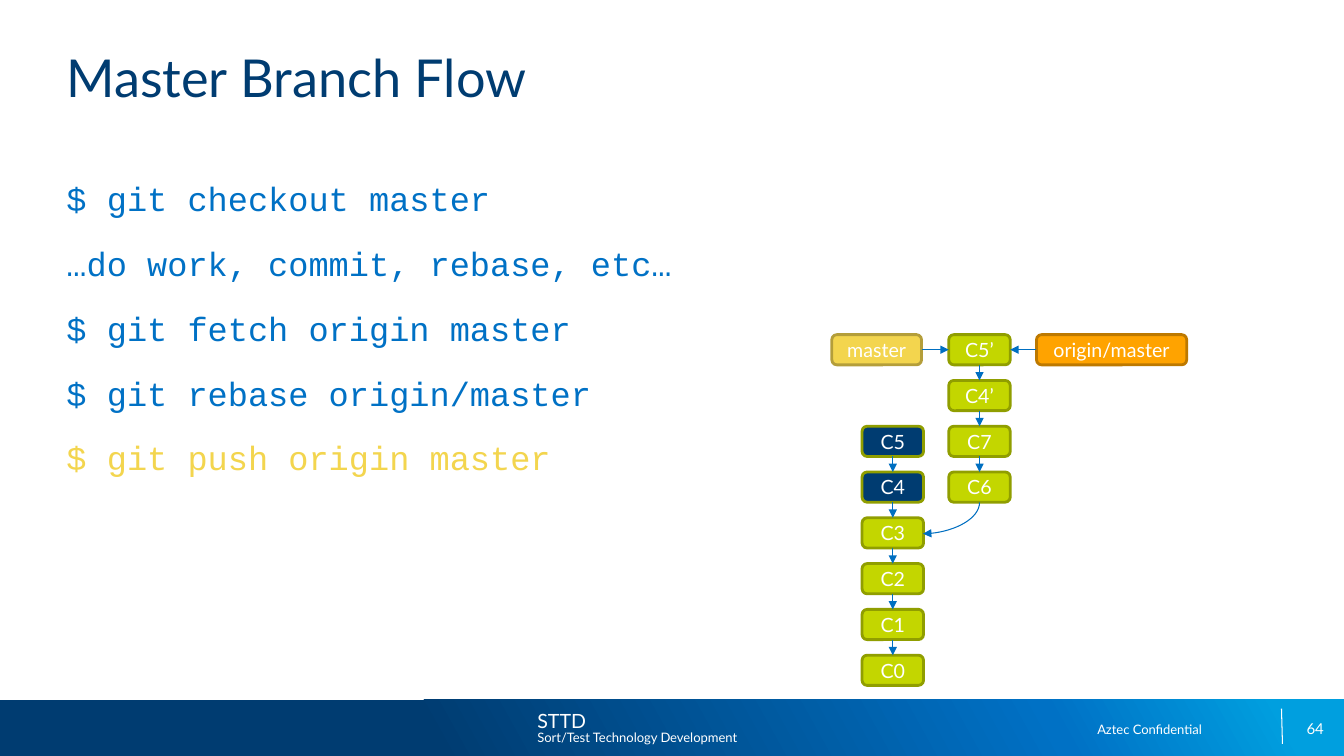
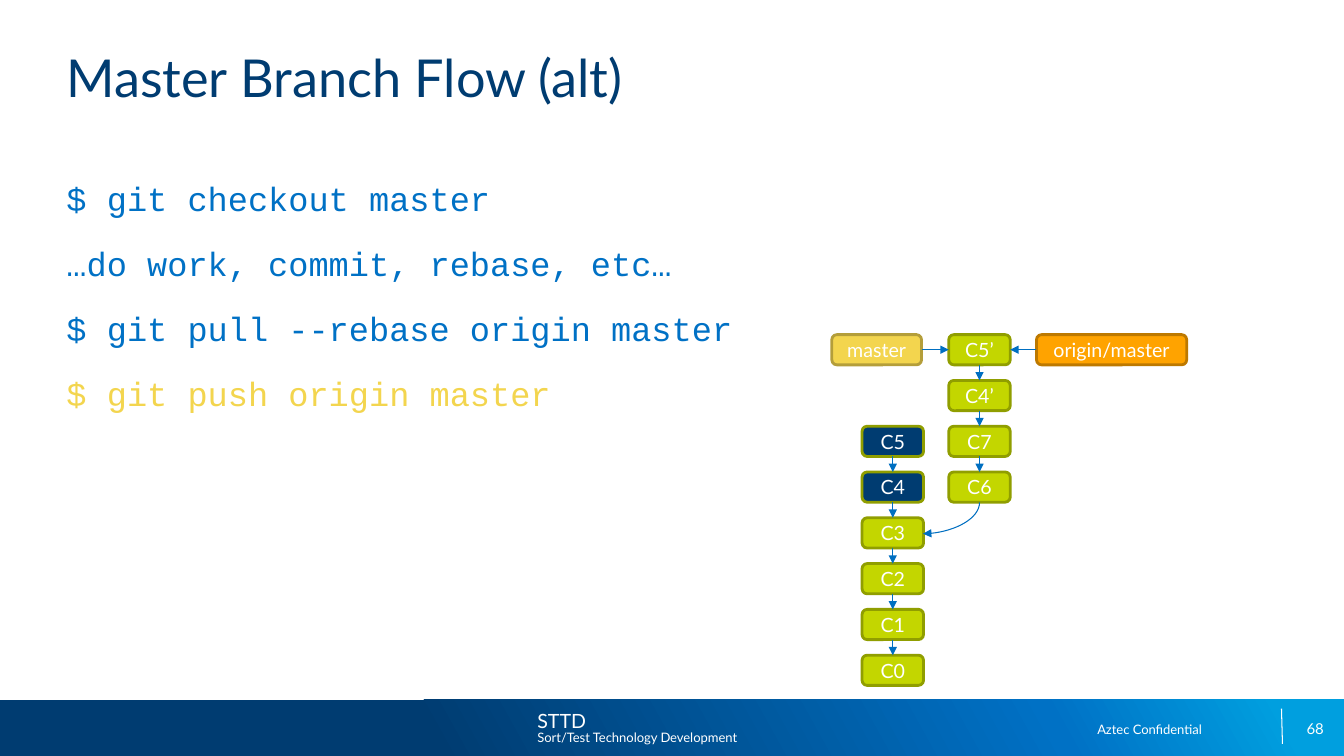
"""Build two slides on the master branch flow, with git commands and a commit graph."""
import pptx
import pptx.dml.color
import pptx.enum.shapes
import pptx.enum.text
import pptx.oxml
import pptx.oxml.ns
import pptx.oxml.xmlchemy
import pptx.util

Inches, Pt = pptx.util.Inches, pptx.util.Pt
RGBColor = pptx.dml.color.RGBColor
ALIGN = pptx.enum.text.PP_ALIGN
ANCHOR = pptx.enum.text.MSO_ANCHOR
SHAPE = pptx.enum.shapes.MSO_SHAPE
CONNECTOR = pptx.enum.shapes.MSO_CONNECTOR
qn = pptx.oxml.ns.qn
OxmlElement = pptx.oxml.xmlchemy.OxmlElement

NAVY = RGBColor(0x00, 0x3C, 0x71)
BLUE = RGBColor(0x00, 0x71, 0xC5)
SKY = RGBColor(0x00, 0x9F, 0xDF)
ARROW = RGBColor(0x00, 0x6F, 0xC1)
WHITE = RGBColor(0xFF, 0xFF, 0xFF)
GREEN = RGBColor(0xC3, 0xD6, 0x00)
DARK_GREEN = RGBColor(0x90, 0x9E, 0x00)
YELLOW = RGBColor(0xF3, 0xD5, 0x4E)
DARK_YELLOW = RGBColor(0xB4, 0x9E, 0x3A)
ORANGE = RGBColor(0xFF, 0xA3, 0x00)
DARK_ORANGE = RGBColor(0xBD, 0x79, 0x00)

TITLE = {"size": Pt(37.3), "name": "Lato", "color": NAVY}
CODE = {"size": Pt(24), "name": "Courier New", "color": BLUE}
NODE = {"size": Pt(14), "name": "Lato", "color": WHITE}
SMALL = {"size": Pt(9.3), "name": "Lato", "color": WHITE}
NUMBER = {"size": Pt(10.7), "name": "Lato", "color": WHITE}

GRADIENT = [(32, NAVY), (78, BLUE), (95, SKY)]
FOOTER = [
    ("STTD", 5.33, 7.03, 0.57, 0.24, NODE, ALIGN.LEFT),
    ("Sort/Test Technology Development", 5.33, 7.24, 2.67, 0.16, SMALL, ALIGN.LEFT),
    ("Aztec Confidential", 10.26, 7.16, 1.66, 0.16, SMALL, ALIGN.RIGHT),
]

TOP, BOTTOM = 3.32, 6.5
PITCH = (BOTTOM - TOP) / 7
LOCAL_X, REMOTE_X, COMMIT_W, NODE_H = 8.55, 9.41, 0.61, 0.3
NODES = [("master", 8.25, 0, 0.89, YELLOW, DARK_YELLOW),
         ("origin/master", 10.28, 0, 1.49, ORANGE, DARK_ORANGE)]
REMOTE = ["C5’", "C4’", "C7", "C6"]
LOCAL = ["C5", "C4", "C3", "C2", "C1", "C0"]
for row, name in enumerate(REMOTE):
    NODES.append((name, REMOTE_X, row, COMMIT_W, GREEN, DARK_GREEN))
for row, name in enumerate(LOCAL, 2):
    fill = NAVY if name in ("C5", "C4") else GREEN
    NODES.append((name, LOCAL_X, row, COMMIT_W, fill, DARK_GREEN))

SITE_TOP, SITE_LEFT, SITE_BOTTOM, SITE_RIGHT = range(4)
LINKS = [("master", SITE_RIGHT, "C5’", SITE_LEFT),
         ("origin/master", SITE_LEFT, "C5’", SITE_RIGHT),
         ("C6", SITE_BOTTOM, "C3", SITE_RIGHT)]
for chain in (REMOTE, LOCAL):
    for child, parent in zip(chain, chain[1:]):
        LINKS.append((child, SITE_BOTTOM, parent, SITE_TOP))

SLIDES = [
    ("Master Branch Flow", "64", [
        "$ git checkout master",
        "…do work, commit, rebase, etc…",
        "$ git fetch origin master",
        "$ git rebase origin/master",
        "$ git push origin master"]),
    ("Master Branch Flow (alt)", "68", [
        "$ git checkout master",
        "…do work, commit, rebase, etc…",
        "$ git pull --rebase origin master",
        "$ git push origin master"]),
]


def add_text(s, lines, x, y, w, h, style, align=ALIGN.LEFT, anchor=ANCHOR.TOP):
    sp = s.shapes.add_textbox(Inches(x), Inches(y), Inches(w), Inches(h))
    tf = sp.text_frame
    frame = {"word_wrap": True, "vertical_anchor": anchor, "margin_left": 0,
             "margin_right": 0, "margin_top": 0, "margin_bottom": 0}
    for key, value in frame.items():
        setattr(tf, key, value)
    for i, line in enumerate(lines):
        p = tf.paragraphs[0] if i == 0 else tf.add_paragraph()
        p.alignment = align
        write(p, line, style)
    return tf


def write(p, text, style):
    r = p.add_run()
    r.text = text
    for key, value in style.items():
        if key == "color":
            r.font.color.rgb = value
        else:
            setattr(r.font, key, value)


prs = pptx.Presentation()
prs.slide_width, prs.slide_height = Inches(13.33), Inches(7.5)

for title, number, commands in SLIDES:
    s = prs.slides.add_slide(prs.slide_layouts[6])

    band = s.shapes.add_shape(SHAPE.RECTANGLE, 0, Inches(6.94), prs.slide_width, Inches(0.56))
    band.shadow.inherit = False
    band.line.fill.background()
    band.fill.gradient()
    band.fill.gradient_angle = 29
    stops = band._element.spPr.find(qn("a:gradFill")).find(qn("a:gsLst"))
    for stop in list(stops):
        stops.remove(stop)
    for position, color in GRADIENT:
        stop = pptx.oxml.parse_xml(
            f'<a:gs {pptx.oxml.ns.nsdecls("a")} pos="{position * 1000}">'
            f'<a:srgbClr val="{color}"/></a:gs>')
        stops.append(stop)

    divider = s.shapes.add_connector(
        CONNECTOR.STRAIGHT, Inches(12.71), Inches(7.03), Inches(12.72), Inches(7.38))
    divider.line.color.rgb = WHITE
    divider.line.width = Pt(0.75)
    divider._element.spPr.append(OxmlElement("a:effectLst"))

    for text, x, y, w, h, style, align in FOOTER:
        add_text(s, [text], x, y, w, h, style, align)
    add_text(s, [number], 10.02, 7.03, 3.11, 0.4, NUMBER, ALIGN.RIGHT, ANCHOR.MIDDLE)

    add_text(s, [title], 0.66, 0.45, 12, 1.27, TITLE)
    tf = add_text(s, commands, 0.66, 1.75, 12, 5, CODE)
    for p in tf.paragraphs:
        p.line_spacing = 1.05
    for p in tf.paragraphs[1:]:
        p.space_before = Pt(16)
    tf.paragraphs[-1].runs[0].font.color.rgb = YELLOW

    nodes = {}
    for name, x, row, w, fill, outline in NODES:
        sp = s.shapes.add_shape(SHAPE.ROUNDED_RECTANGLE, Inches(x), Inches(TOP + row * PITCH),
                                Inches(w), Inches(NODE_H))
        sp.shadow.inherit = False
        sp.fill.solid()
        sp.fill.fore_color.rgb = fill
        sp.line.color.rgb = outline
        sp.line.width = Pt(2)
        sp.text_frame.vertical_anchor = ANCHOR.MIDDLE
        p = sp.text_frame.paragraphs[0]
        p.alignment = ALIGN.CENTER
        write(p, name, NODE)
        nodes[name] = sp

    for child, start, parent, end in LINKS:
        link = s.shapes.add_connector(CONNECTOR.STRAIGHT, 0, 0, 0, 0)
        link.begin_connect(nodes[child], start)
        link.end_connect(nodes[parent], end)
        link.line.color.rgb = ARROW
        link.line.width = Pt(0.75)
        head = OxmlElement("a:tailEnd")
        head.set("type", "triangle")
        link.line._get_or_add_ln().append(head)
        spPr = link._element.spPr
        spPr.append(OxmlElement("a:effectLst"))
        if (start, end) == (SITE_BOTTOM, SITE_RIGHT):
            spPr.find(qn("a:prstGeom")).set("prst", "curvedConnector2")
            xfrm = spPr.find(qn("a:xfrm"))
            xfrm.attrib.clear()
            xfrm.set("rot", "5400000")
            box = {"left": 9.28, "top": 4.86, "width": 0.31, "height": 0.56}
            for key, value in box.items():
                setattr(link, key, Inches(value))

prs.save("out.pptx")
